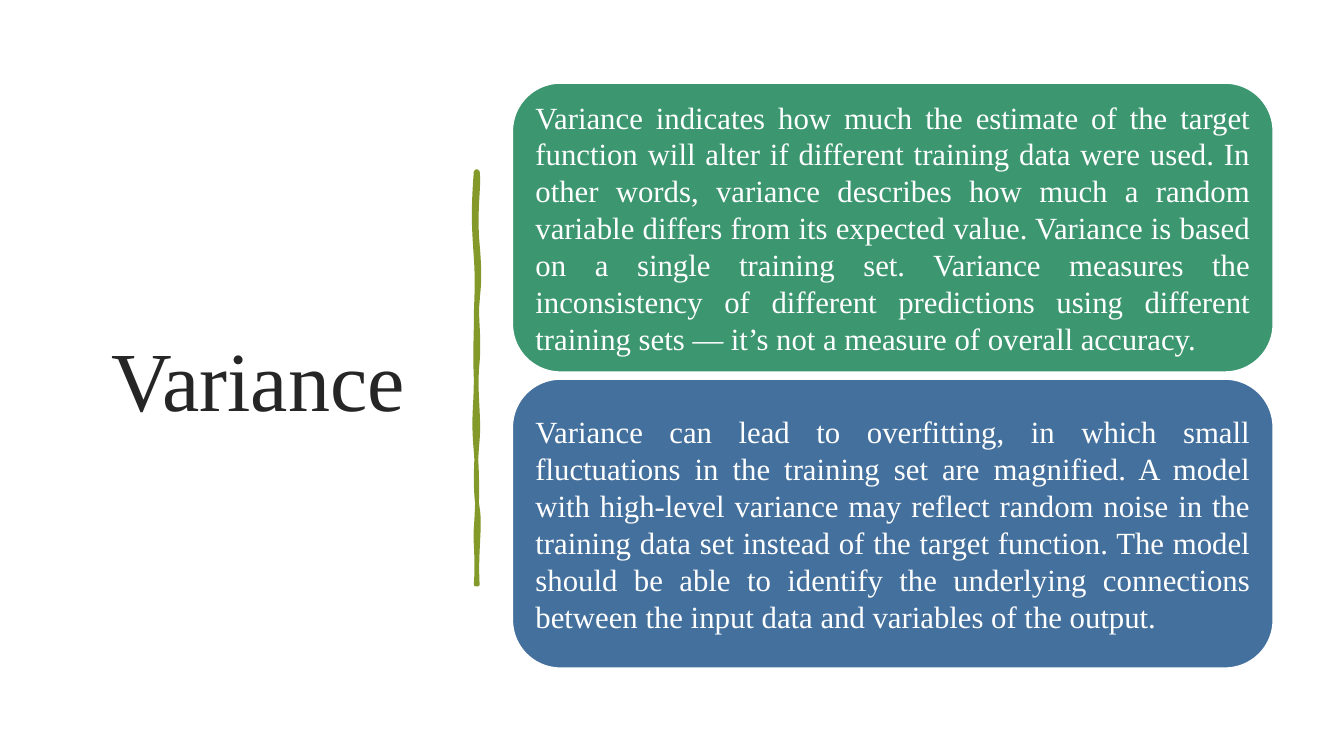
from dataclasses import dataclass

from lxml.etree import SubElement
from pptx import Presentation
from pptx.dml.color import RGBColor
from pptx.enum.shapes import MSO_SHAPE
from pptx.enum.text import MSO_ANCHOR, PP_ALIGN
from pptx.oxml.ns import qn
from pptx.util import Cm, Pt

TITLE = "Variance"
CARDS = [
    ("Variance indicates how much the estimate of the target function will alter "
     "if different training data were used. In other words, variance describes how "
     "much a random variable differs from its expected value. Variance is based on "
     "a single training set. Variance measures the inconsistency of different "
     "predictions using different training sets — it’s not a measure of overall "
     "accuracy.", "3C9770"),
    ("Variance can lead to overfitting, in which small fluctuations in the training "
     "set are magnified. A model with high-level variance may reflect random noise "
     "in the training data set instead of the target function. The model should be "
     "able to identify the underlying connections between the input data and "
     "variables of the output.", "44709D"),
]

# Brush stroke edges in cm: two control points, then the y where each curve ends
RIGHT_X, LEFT_X = 12.04, 11.99
STROKE_TOP, STROKE_BOTTOM = 4.32, 14.73
RIGHT_EDGE = [
    (12.09, 4.72, 11.96, 5.26, 6.17),
    (12.12, 7.09, 12.06, 7.24, 7.59),
    (11.99, 7.95, 12.09, 8.41, 9.12),
    (11.96, 9.83, 12.09, 10.49, 11.07),
    (11.99, 11.63, 11.96, 12.32, 12.8),
    (12.12, 13.28, 11.99, 13.92, STROKE_BOTTOM),
]
LEFT_EDGE = [
    (12.04, 14.07, 11.96, 13.61, 13.31),
    (12.01, 13.03, 12.06, 12.27, 11.38),
    (11.91, 10.49, 11.99, 10.31, 9.53),
    (11.96, 8.76, 11.99, 8.66, 8.1),
    (11.99, 7.57, 12.04, 7.24, 6.48),
    (11.94, 5.74, 11.91, 5.38, STROKE_TOP),
]

CARD_LEFT, CARD_TOP = 12.91, 2.09
CARD_WIDTH, CARD_HEIGHT, CARD_GAP = 19.18, 7.29, 0.17
CARD_INSET = 0.23


@dataclass(frozen=True)
class Theme:
    font: str = "Times New Roman"
    title_size: int = 60
    body_size: int = 22
    title_color: str = "262626"
    light: str = "FFFFFF"
    accent: str = "83992A"
    card_line: float = 1.25
    stroke_line: float = 2.75


THEME = Theme()


def rgb(value):
    return RGBColor.from_string(value)


def format_text(p, size, color, align):
    p.alignment = align
    for r in p.runs:
        r.font.name = THEME.font
        r.font.size = Pt(size)
        r.font.color.rgb = rgb(color)


def paint(sp, fill, line, width):
    sp.shadow.inherit = False
    sp.fill.solid()
    sp.fill.fore_color.rgb = rgb(fill)
    sp.line.color.rgb = rgb(line)
    sp.line.width = Pt(width)


def add_title(slide):
    title = slide.shapes.title
    title.left, title.top = Cm(1.75), Cm(1.75)
    title.width, title.height = Cm(9.5), Cm(15.52)
    tf = title.text_frame
    tf.text = TITLE
    tf.vertical_anchor = MSO_ANCHOR.MIDDLE
    format_text(tf.paragraphs[0], THEME.title_size, THEME.title_color, PP_ALIGN.CENTER)


def bend(segment, curve, sp):
    """Turn a straight outline segment into a cubic curve."""
    x1, y1, x2, y2, _ = curve
    segment.tag = qn("a:cubicBezTo")
    end = segment[0]
    for x, y in ((x1, y1), (x2, y2)):
        pt = SubElement(segment, qn("a:pt"))
        pt.set("x", str(Cm(x) - sp.left))
        pt.set("y", str(Cm(y) - sp.top))
    segment.append(end)


def add_brush_stroke(slide):
    right = [(Cm(RIGHT_X), Cm(curve[-1])) for curve in RIGHT_EDGE]
    left = [(Cm(LEFT_X), Cm(curve[-1])) for curve in LEFT_EDGE]
    corner = (Cm(LEFT_X), Cm(STROKE_BOTTOM))
    builder = slide.shapes.build_freeform(Cm(RIGHT_X), Cm(STROKE_TOP))
    builder.add_line_segments(right + [corner] + left, close=True)
    sp = builder.convert_to_shape()
    paint(sp, THEME.accent, THEME.accent, THEME.stroke_line)
    SubElement(sp.line._get_or_add_ln(), qn("a:round"))
    segments = list(sp.element.iter(qn("a:lnTo")))
    for segment, curve in zip(segments, RIGHT_EDGE + [None] + LEFT_EDGE):
        if curve:
            bend(segment, curve, sp)


def add_card(slide, index, text, color):
    top = CARD_TOP + index * (CARD_HEIGHT + CARD_GAP)
    sp = slide.shapes.add_shape(MSO_SHAPE.ROUNDED_RECTANGLE, Cm(CARD_LEFT), Cm(top),
                                Cm(CARD_WIDTH), Cm(CARD_HEIGHT))
    paint(sp, color, THEME.light, THEME.card_line)
    tf = sp.text_frame
    tf.text = text
    tf.word_wrap = True
    tf.vertical_anchor = MSO_ANCHOR.MIDDLE
    tf.margin_left = tf.margin_right = tf.margin_top = tf.margin_bottom = Cm(CARD_INSET)
    format_text(tf.paragraphs[0], THEME.body_size, THEME.light, PP_ALIGN.JUSTIFY)


def main():
    prs = Presentation()
    prs.slide_width, prs.slide_height = Cm(33.87), Cm(19.05)
    slide = prs.slides.add_slide(prs.slide_layouts[5])
    add_title(slide)
    add_brush_stroke(slide)
    for index, (text, color) in enumerate(CARDS):
        add_card(slide, index, text, color)
    prs.save("out.pptx")


if __name__ == "__main__":
    main()
